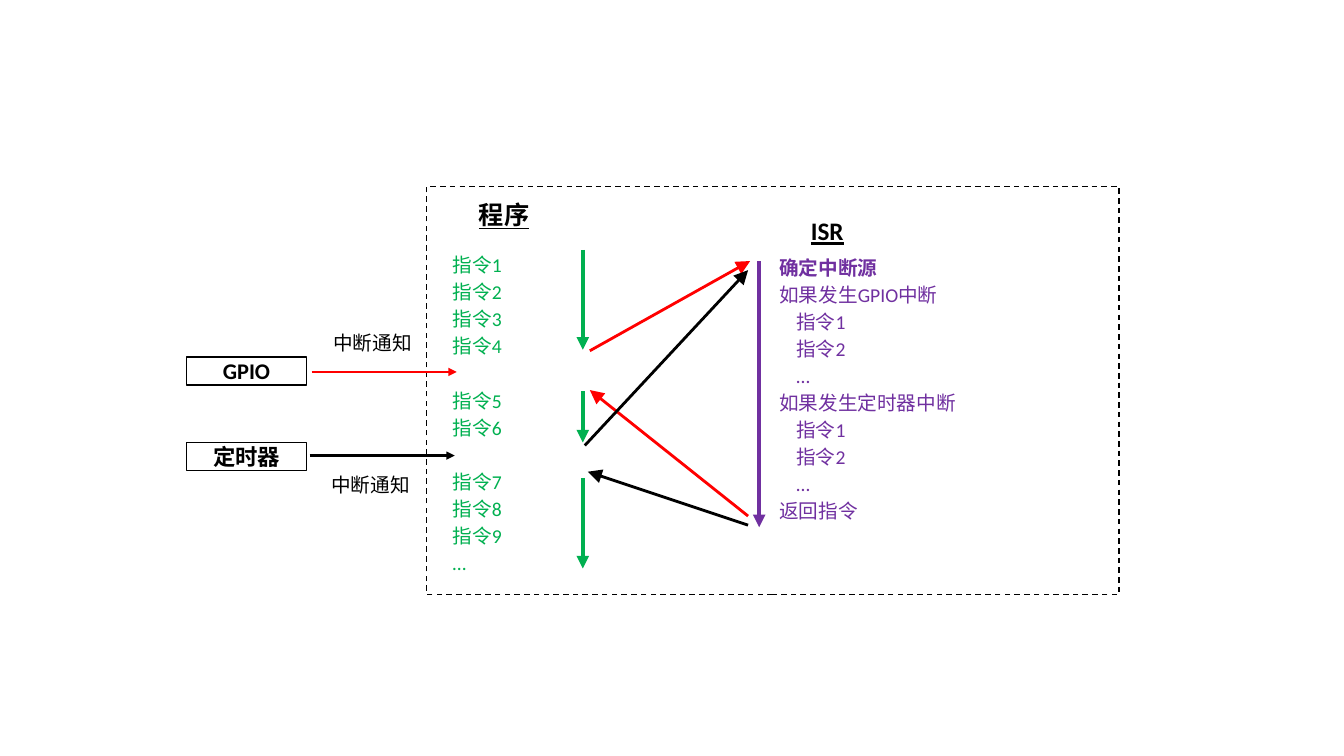
from lxml import etree
from pptx import Presentation
from pptx.dml.color import RGBColor
from pptx.enum.dml import MSO_LINE
from pptx.enum.shapes import MSO_CONNECTOR, MSO_SHAPE
from pptx.enum.text import MSO_ANCHOR, PP_ALIGN
from pptx.oxml.ns import qn
from pptx.util import Inches, Pt

BLACK = RGBColor(0, 0, 0)
RED = RGBColor(0xFF, 0, 0)
GREEN = RGBColor(0, 0xB0, 0x50)
PURPLE = RGBColor(0x70, 0x30, 0xA0)
LEFT, CENTER, MIDDLE = PP_ALIGN.LEFT, PP_ALIGN.CENTER, MSO_ANCHOR.MIDDLE
RECT, STRAIGHT, DASH = MSO_SHAPE.RECTANGLE, MSO_CONNECTOR.STRAIGHT, MSO_LINE.DASH

FONT = "Calibri"
GAP, BREAK, INDENT = 2.5, 22.2, 0.17

PROGRAM = [["指令1", "指令2", "指令3", "指令4"],
           ["指令5", "指令6"],
           ["指令7", "指令8", "指令9", "…"]]
STEPS = ["指令1", "指令2", "…"]
ISR = [("确定中断源", []), ("如果发生GPIO中断", STEPS),
       ("如果发生定时器中断", STEPS), ("返回指令", [])]

HEADS = [("程序", (4.34, 1.93, 1.32, 0.4)), ("ISR", (7.7, 2.09, 1.01, 0.4))]
NOTES = [("中断通知", (3.13, 3.11, 1.13, 0.57)),
         ("中断通知", (3.11, 4.52, 1.13, 0.57))]
SOURCES = [("GPIO", (1.85, 3.54, 1.19, 0.28)),
           ("定时器", (1.85, 4.39, 1.19, 0.28))]
FRAME = (4.23, 1.85, 6.87, 4.05)

FLOWS = [(5.78, 2.48, 3.47, GREEN), (5.78, 3.88, 4.39, GREEN),
         (5.78, 4.74, 5.64, GREEN), (7.53, 2.59, 5.23, PURPLE)]
JUMPS = [((5.85, 3.48), (7.44, 2.59), RED), ((7.42, 5.12), (5.85, 3.87), RED),
         ((5.8, 4.42), (7.42, 2.68), BLACK), ((7.42, 5.21), (5.83, 4.68), BLACK)]
SIGNALS = [(3.09, 3.69, RED), (3.07, 4.52, BLACK)]

NOTE = {"size": Pt(14), "name": FONT}
HEAD = {"size": Pt(18), "name": FONT, "bold": True, "underline": True}
SOURCE = {"size": Pt(16), "name": FONT, "bold": True}


def write(frame, lines, style, color, align, inset=0.1):
    """Fill a text frame with (text, space before, indent, bold) lines."""
    frame.word_wrap = True
    frame.vertical_anchor = MIDDLE
    frame.margin_left = frame.margin_right = Inches(inset)
    for i, (text, space, indent, bold) in enumerate(lines):
        para = frame.add_paragraph() if i else frame.paragraphs[0]
        para.alignment = align
        if i:
            para.space_before = Pt(space)
        if indent:
            para._p.get_or_add_pPr().set("marL", str(Inches(indent)))
        run = para.add_run()
        run.text = text
        for key, value in style.items():
            setattr(run.font, key, value)
        if bold:
            run.font.bold = True
        run.font.color.rgb = color


def label(slide, box, lines, style, color=BLACK, align=CENTER):
    """Add a text box."""
    shape = slide.shapes.add_textbox(*map(Inches, box))
    write(shape.text_frame, lines, style, color, align)


def outline(slide, box):
    """Add an unfilled rectangle with a thin black line."""
    shape = slide.shapes.add_shape(RECT, *map(Inches, box))
    shape.shadow.inherit = False
    shape.fill.background()
    shape.line.color.rgb = BLACK
    shape.line.width = Pt(1)
    return shape


def arrow(slide, start, end, color, width, size="med"):
    """Add a straight arrow."""
    link = slide.shapes.add_connector(STRAIGHT, *map(Inches, start + end))
    link.line.color.rgb = color
    link.line.width = Pt(width)
    tip = etree.SubElement(link.line._get_or_add_ln(), qn("a:tailEnd"))
    for key, value in {"type": "triangle", "w": size, "len": size}.items():
        tip.set(key, value)
    etree.SubElement(link._element.spPr, qn("a:effectLst"))


def main():
    """Build the interrupt flow slide."""
    deck = Presentation()
    deck.slide_width, deck.slide_height = Inches(13.33), Inches(7.5)
    slide = deck.slides.add_slide(deck.slide_layouts[6])

    code = [(text, GAP if i else BREAK, 0, False)
            for block in PROGRAM for i, text in enumerate(block)]
    label(slide, (4.39, 2.38, 1.21, 3.45), code, NOTE, GREEN, LEFT)
    tasks = []
    for i, (text, steps) in enumerate(ISR):
        tasks.append((text, GAP, 0, i == 0))
        tasks += [(step, GAP, INDENT, False) for step in steps]
    label(slide, (7.63, 2.42, 3.27, 2.88), tasks, NOTE, PURPLE, LEFT)

    for items, style in ((HEADS, HEAD), (NOTES, NOTE)):
        for text, box in items:
            label(slide, box, [(text, 0, 0, False)], style)
    for text, box in SOURCES:
        shape = outline(slide, box)
        write(shape.text_frame, [(text, 0, 0, False)], SOURCE, BLACK, CENTER, 0)
    outline(slide, FRAME).line.dash_style = DASH

    for x, top, end, color in FLOWS:
        arrow(slide, (x, top), (x, end), color, 3)
    for start, end, color in JUMPS:
        arrow(slide, start, end, color, 2, "lg")
    for x, y, color in SIGNALS:
        arrow(slide, (x, y), (x + 1.44, y), color, 2)
    deck.save("out.pptx")


if __name__ == "__main__":
    main()
